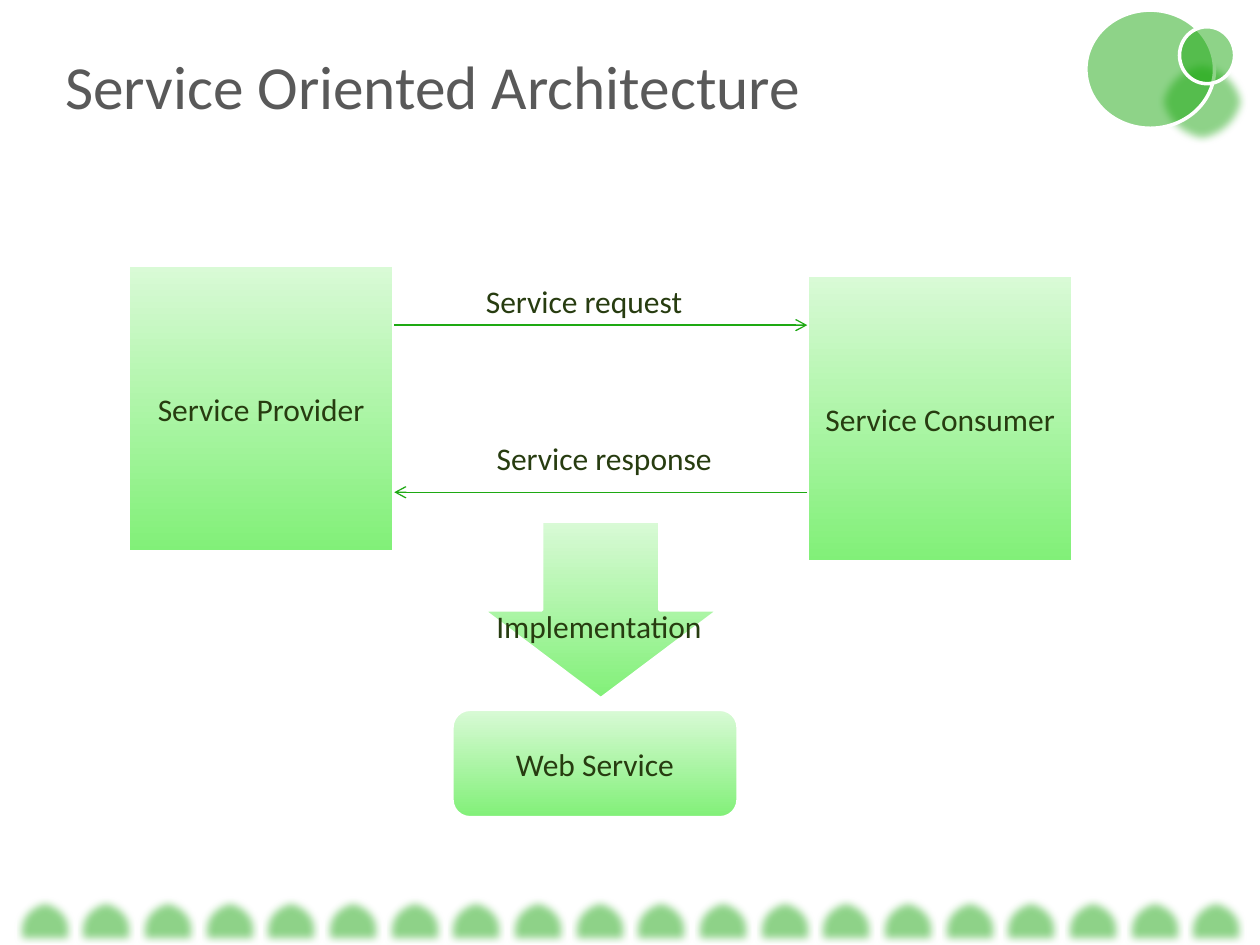
import pptx
import pptx.dml.color
import pptx.enum.shapes
import pptx.enum.text
import pptx.oxml
import pptx.oxml.ns
import pptx.util

Pt = pptx.util.Pt
RGBColor = pptx.dml.color.RGBColor
KIND = pptx.enum.shapes.MSO_SHAPE
ALIGN = pptx.enum.text.PP_ALIGN
ANCHOR = pptx.enum.text.MSO_ANCHOR
FIT = pptx.enum.text.MSO_AUTO_SIZE

GRAY = RGBColor(0x59, 0x59, 0x59)
INK = RGBColor(0x27, 0x3C, 0x10)
GREEN = RGBColor(0x1E, 0xA9, 0x13)
LIME = RGBColor(0x81, 0xF0, 0x78)
PALE = RGBColor(0xD9, 0xFA, 0xD6)
WHITE = RGBColor(0xFF, 0xFF, 0xFF)

BODY = {"name": "Calibri", "size": Pt(18)}
HEAD = {"name": "Calibri", "size": Pt(35)}
LABEL = {"word_wrap": False, "auto_size": FIT.SHAPE_TO_FIT_TEXT}
TITLE = {"word_wrap": True, "auto_size": FIT.NONE, "vertical_anchor": ANCHOR.TOP}


def apply(item, form):
    """Set each attribute of the item from the format dict."""
    for key, value in form.items():
        setattr(item, key, value)


def add_xml(parent, tag, attrs=""):
    """Append one empty drawing element to the parent."""
    node = f"<a:{tag} {pptx.oxml.ns.nsdecls('a')} {attrs}/>"
    parent.append(pptx.oxml.parse_xml(node))


def put_text(frame, text, form, color, align):
    """Write one formatted paragraph in the frame."""
    frame.text = text
    para = frame.paragraphs[0]
    para.alignment = align
    apply(para.font, form)
    para.font.color.rgb = color


def add_shape(shapes, kind, box):
    """Add a shape with a white outline and no shadow."""
    shape = shapes.add_shape(kind, *map(Pt, box))
    shape.shadow.inherit = False
    shape.line.color.rgb = WHITE
    shape.line.width = Pt(2)
    return shape


def add_node(shapes, kind, box, text=""):
    """Add a shape with the green gradient and a centred name."""
    node = add_shape(shapes, kind, box)
    node.fill.gradient()
    node.fill.gradient_angle = 90
    for stop, color, place in zip(node.fill.gradient_stops, (LIME, PALE), (0, 1)):
        stop.color.rgb = color
        stop.position = place
    if text:
        node.text_frame.vertical_anchor = ANCHOR.MIDDLE
        put_text(node.text_frame, text, BODY, INK, ALIGN.CENTER)


def add_label(shapes, box, text):
    """Add a centred label that does not wrap."""
    frame = shapes.add_textbox(*map(Pt, box)).text_frame
    apply(frame, LABEL)
    put_text(frame, text, BODY, INK, ALIGN.CENTER)


def add_arrow(shapes, start, end, y):
    """Add a level arrow from start to end."""
    line = shapes.add_connector(
        pptx.enum.shapes.MSO_CONNECTOR.STRAIGHT, Pt(start), Pt(y), Pt(end), Pt(y))
    line.line.color.rgb = GREEN
    line.line.width = Pt(0.75)
    add_xml(line.line._get_or_add_ln(), "tailEnd", 'type="arrow"')
    add_xml(line._element.spPr, "effectLst")


def add_glass(shapes, kind, box, soft=0):
    """Add a half clear green shape, with a soft edge if asked."""
    shape = add_shape(shapes, kind, box)
    shape.fill.solid()
    shape.fill.fore_color.rgb = GREEN
    props = shape._element.spPr
    add_xml(props.find(".//" + pptx.oxml.ns.qn("a:srgbClr")), "alpha", 'val="50000"')
    if soft:
        add_xml(props.find(pptx.oxml.ns.qn("a:effectLst")), "softEdge", f'rad="{Pt(soft)}"')
    return shape


def build_title(slide, left, top, width, height):
    """Place the slide title in its box."""
    title = slide.shapes.title
    apply(title, dict(left=Pt(left), top=Pt(top), width=Pt(width), height=Pt(height)))
    apply(title.text_frame, TITLE)
    put_text(title.text_frame, "Service Oriented Architecture", HEAD, GRAY, ALIGN.LEFT)


def build_chart(slide, left, top, width):
    """Place the service diagram from its top left corner."""
    shapes = slide.shapes
    side, tall = 152, 163.5
    near, far = left + side, left + width - side
    add_node(shapes, KIND.RECTANGLE, (left, top, side, tall), "Service Provider")
    add_node(shapes, KIND.RECTANGLE, (far, top + 5.7, side, tall), "Service Consumer")
    add_arrow(shapes, near, far, top + 34)
    add_arrow(shapes, far, near, top + 129.5)
    add_label(shapes, (left + 196.5, top + 5.7, 128, 29), "Service request")
    add_label(shapes, (left + 202.5, top + 95.7, 139, 29), "Service response")
    add_node(shapes, KIND.DOWN_ARROW, (left + 202.5, top + 146, 135, 101.5))
    add_node(shapes, KIND.ROUNDED_RECTANGLE, (left + 185, top + 253.5, 163.5, 62), "Web Service")
    add_label(shapes, (left + 202.5, top + 191.5, 133, 29), "Implementation")


def build_border(slide, left, top, width, count=20):
    """Place a row of soft domes, evenly spread over the width."""
    group = slide.shapes.add_group_shape()
    wide, tall = 28, 34
    step = (width - wide) / (count - 1)
    for i in range(count):
        box = (left + i * step, top, wide, tall)
        add_glass(group.shapes, KIND.FLOWCHART_DELAY, box, 5).rotation = 270


def build_rings(slide, left, top):
    """Place the three corner circles from their top left corner."""
    group = slide.shapes.add_group_shape()
    rings = [(40.5, 27.5, 52, 49.5, 5), (0, 0, 73.5, 67.5, 0), (53.5, 9.5, 31.5, 32.5, 0)]
    for x, y, wide, tall, soft in rings:
        add_glass(group.shapes, KIND.OVAL, (left + x, top + y, wide, tall), soft)


def main():
    """Build the slide and save it."""
    deck = pptx.Presentation()
    deck.slide_width, deck.slide_height = Pt(720), Pt(540)
    slide = deck.slides.add_slide(deck.slide_layouts[5])
    build_title(slide, 30, 24, 483, 50)
    build_chart(slide, 73.3, 151.8, 540)
    build_border(slide, 11.5, 509, 697.5)
    build_rings(slide, 620.5, 5.8)
    deck.save("out.pptx")


if __name__ == "__main__":
    main()
